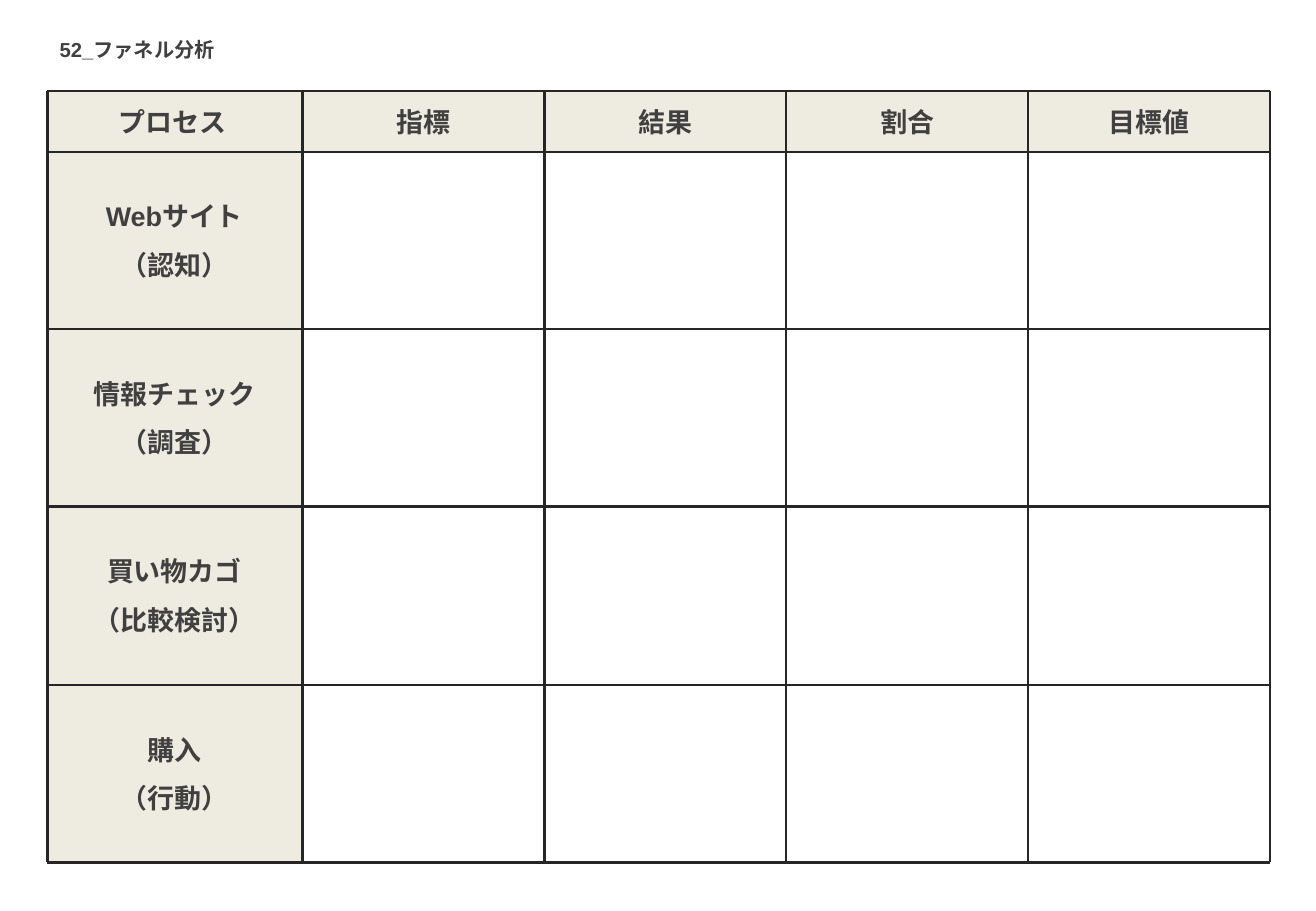
"""Builds a blank funnel analysis worksheet slide."""
from dataclasses import dataclass

from lxml import etree
from pptx import Presentation
from pptx import util as u
from pptx.dml.color import RGBColor
from pptx.enum import shapes, text
from pptx.oxml.ns import qn

SCALE = u.Inches(1) // 100


@dataclass(frozen=True)
class Theme:
    """Colours, font and type sizes of the worksheet."""
    font: str = "Arial"
    ink: str = "404040"
    rule: str = "262626"
    header: str = "EEECE1"
    title_size: int = 12
    label_size: int = 16
    rule_width: float = 1.5


def px(value):
    """Turn whole px into EMU."""
    return u.Emu(value * SCALE)


def assign(target, values):
    """Set every attribute named in the dict of format values."""
    for name, value in values.items():
        setattr(target, name, value)


class Worksheet:
    """Draws styled elements on the current slide."""

    def __init__(self, slide, theme):
        """Keep the slide and the theme."""
        self.slide = slide
        self.theme = theme

    def set_text(self, shape, lines, size, alignment, anchor, spacing=1.5):
        """Fill a shape with styled lines, the later ones spaced wider."""
        frame = shape.text_frame
        frame.text = "\n".join(lines)
        assign(frame, {
            "word_wrap": True, "vertical_anchor": anchor,
            "auto_size": text.MSO_AUTO_SIZE.SHAPE_TO_FIT_TEXT,
            "margin_left": px(10), "margin_right": px(10),
            "margin_top": px(5), "margin_bottom": px(5),
        })
        for index, paragraph in enumerate(frame.paragraphs):
            assign(paragraph, {"alignment": alignment, "line_spacing": spacing if index else 1.0})
            font = paragraph.runs[0].font
            assign(font, {"name": self.theme.font, "size": u.Pt(size), "bold": True})
            font.color.rgb = RGBColor.from_string(self.theme.ink)

    def title(self, words, left, top, width, height):
        """Place the slide title."""
        shape = self.slide.shapes.title
        assign(shape, {"left": px(left), "top": px(top), "width": px(width), "height": px(height)})
        self.set_text(shape, [words], self.theme.title_size, text.PP_ALIGN.LEFT, text.MSO_ANCHOR.TOP)

    def label(self, lines, left, top, width, height):
        """Add a centred label."""
        shape = self.slide.shapes.add_textbox(px(left), px(top), px(width), px(height))
        self.set_text(shape, lines, self.theme.label_size, text.PP_ALIGN.CENTER, text.MSO_ANCHOR.MIDDLE)

    def band(self, left, top, right, bottom):
        """Add a header band without an outline."""
        shape = self.slide.shapes.add_shape(
            shapes.MSO_SHAPE.RECTANGLE, px(left), px(top), px(right - left), px(bottom - top))
        shape.shadow.inherit = False
        shape.fill.solid()
        shape.fill.fore_color.rgb = RGBColor.from_string(self.theme.header)
        shape.line.fill.background()

    def rule(self, x1, y1, x2, y2):
        """Add a straight grid line."""
        connector = self.slide.shapes.add_connector(
            shapes.MSO_CONNECTOR.STRAIGHT, px(x1), px(y1), px(x2), px(y2))
        connector.line.width = u.Pt(self.theme.rule_width)
        connector.line.color.rgb = RGBColor.from_string(self.theme.rule)
        etree.SubElement(connector._element.spPr, qn("a:effectLst"))


def main():
    """Build and save the worksheet."""
    presentation = Presentation()
    assign(presentation, {"slide_width": px(1083), "slide_height": px(750)})
    slide = presentation.slides.add_slide(presentation.slide_layouts[5])
    sheet = Worksheet(slide, Theme())

    metrics = ["指標", "結果", "割合", "目標値"]
    stages = [("Webサイト", "（認知）"), ("情報チェック", "（調査）"),
              ("買い物カゴ", "（比較検討）"), ("購入", "（行動）")]
    left, top, bottom = 39, 75, 710
    columns = [249 + 199 * index for index in range(len(metrics) + 1)]
    rows = [125 + (585 * index + 1) // 4 for index in range(len(stages) + 1)]
    right = columns[-1]

    sheet.band(left, top, columns[0], bottom)
    sheet.band(columns[0], top, right, rows[0])
    sheet.title("52_ファネル分析", 39, 26, 149, 30)
    sheet.label(["プロセス"], left, 82, 206, 37)
    for metric, x in zip(metrics, columns):
        sheet.label([metric], x + 23, 82, 153, 37)
    for stage, y in zip(stages, rows):
        sheet.label(stage, 42, y + 36, 203, 74)
    for x in [left, *columns]:
        sheet.rule(x, top, x, bottom)
    for y in [top, *rows]:
        sheet.rule(left, y, right, y)

    presentation.save("out.pptx")


if __name__ == "__main__":
    main()
